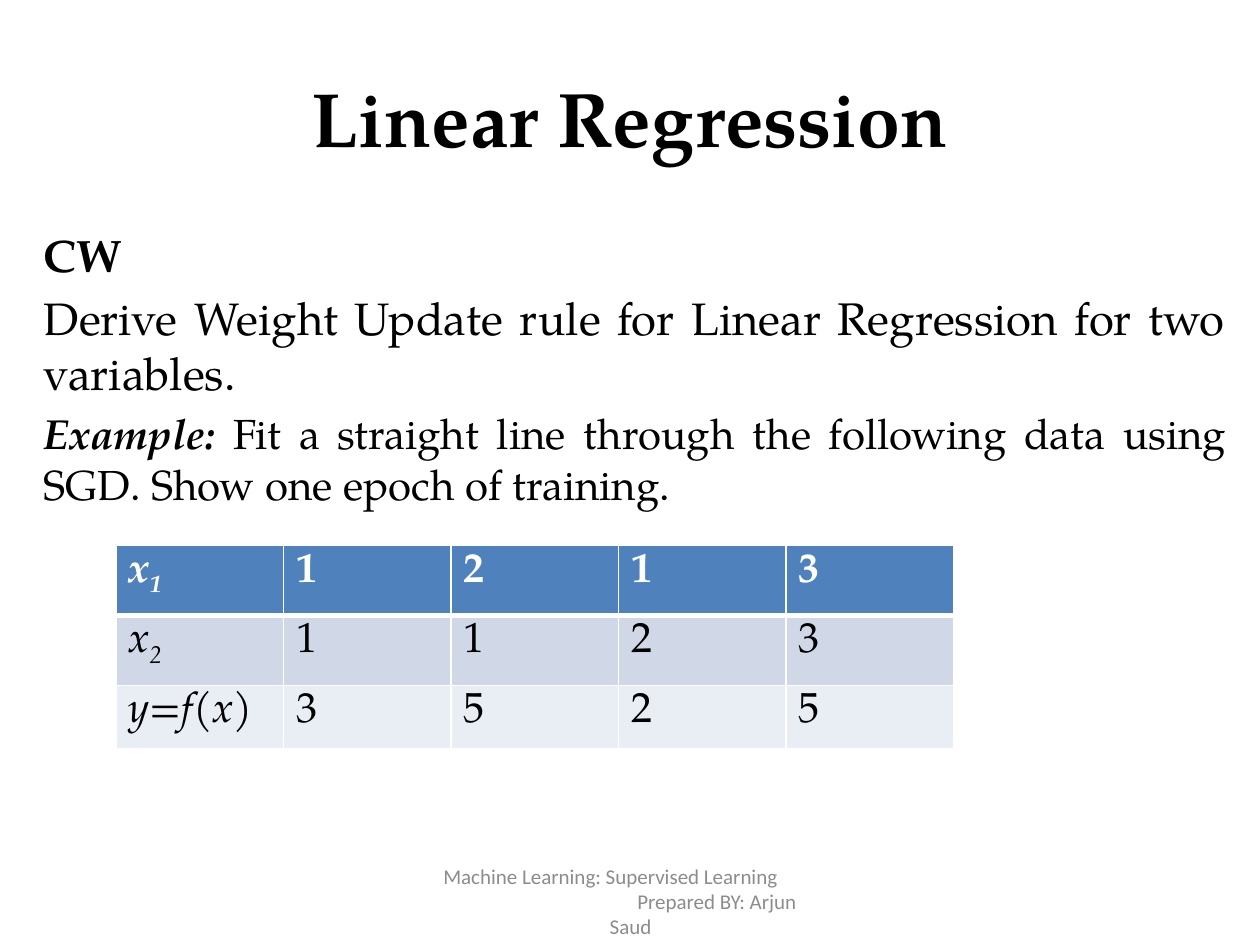
from dataclasses import dataclass

from lxml import etree
from pptx import Presentation
from pptx.dml.color import RGBColor
from pptx.enum.text import MSO_ANCHOR, PP_ALIGN
from pptx.oxml.ns import qn
from pptx.util import Inches, Pt

TOP, MIDDLE = MSO_ANCHOR.TOP, MSO_ANCHOR.MIDDLE
LEFT, CENTER, JUSTIFY = PP_ALIGN.LEFT, PP_ALIGN.CENTER, PP_ALIGN.JUSTIFY


@dataclass(frozen=True)
class Theme:
    serif: str = "TeX Gyre Pagella"
    sans: str = "Calibri"
    black: str = "000000"
    white: str = "FFFFFF"
    gray: str = "8C8C8C"
    row_fills: tuple = ("4F81BD", "D0D8E8", "E9EDF4")
    title: int = 44
    body: int = 26
    example: int = 24
    table: int = 24
    footer: int = 12


THEME = Theme()


def add_run(p, text, size=THEME.table, font=THEME.serif, color=THEME.black,
            bold=False, italic=False, baseline=0):
    """Add a run; baseline is a percentage, negative for a subscript."""
    r = p.add_run()
    r.text = text
    r.font.size = Pt(size)
    r.font.name = font
    r.font.color.rgb = RGBColor.from_string(color)
    r.font.bold = bold
    r.font.italic = italic
    if baseline:
        r.font._element.set("baseline", str(baseline * 1000))


def add_text(s, box, paragraphs, anchor=TOP):
    """Add a box of paragraphs, each (alignment, space before, indent, runs)."""
    tf = s.shapes.add_textbox(*map(Inches, box)).text_frame
    tf.word_wrap = True
    tf.vertical_anchor = anchor
    for i, (align, before, indent, runs) in enumerate(paragraphs):
        p = tf.add_paragraph() if i else tf.paragraphs[0]
        p.alignment = align
        p.space_before = Pt(before)
        if indent:
            p._p.get_or_add_pPr().set("marL", str(Inches(indent)))
        for text, style in runs:
            add_run(p, text, **style)


def set_borders(cell, bottom):
    tc_pr = cell._tc.get_or_add_tcPr()
    widths = {"a:lnL": 1, "a:lnR": 1, "a:lnT": 1, "a:lnB": bottom}
    for i, (tag, width) in enumerate(widths.items()):
        ln = etree.Element(qn(tag), w=str(Pt(width)))
        fill = etree.SubElement(ln, qn("a:solidFill"))
        etree.SubElement(fill, qn("a:srgbClr"), val=THEME.white)
        tc_pr.insert(i, ln)


def add_data_table(s, left, top, col_width, row_height, rows):
    """Add a table whose rows are (label, subscript, values)."""
    n_cols = 1 + len(rows[0][2])
    table = s.shapes.add_table(
        len(rows), n_cols, Inches(left), Inches(top),
        Inches(col_width * n_cols), Inches(row_height * len(rows))).table
    for col in table.columns:
        col.width = Inches(col_width)
    for i, (label, subscript, values) in enumerate(rows):
        header = i == 0
        style = dict(color=THEME.white if header else THEME.black, bold=header)
        for j, text in enumerate((label, *values)):
            cell = table.cell(i, j)
            cell.fill.solid()
            cell.fill.fore_color.rgb = RGBColor.from_string(THEME.row_fills[i])
            set_borders(cell, bottom=3 if header else 1)
            p = cell.text_frame.paragraphs[0]
            add_run(p, text, italic=j == 0, **style)
            if j == 0 and subscript:
                add_run(p, subscript, italic=True, baseline=-25, **style)


def main():
    prs = Presentation()
    prs.slide_width, prs.slide_height = Inches(10), Inches(7.5)
    s = prs.slides.add_slide(prs.slide_layouts[6])

    add_text(s, (0.5, 0.3, 9, 1.25), [
        (CENTER, 0, 0, [("Linear Regression", dict(size=THEME.title, bold=True))]),
    ], anchor=MIDDLE)

    body = dict(size=THEME.body)
    example = dict(size=THEME.example)
    add_text(s, (0.25, 1.75, 9.58, 4.95), [
        (JUSTIFY, 0, 0, [("CW", dict(body, bold=True))]),
        (JUSTIFY, 5.2, 0, [("Derive Weight Update rule for Linear Regression "
                            "for two variables.", body)]),
        (JUSTIFY, 4.8, 0, [
            ("Example: ", dict(example, bold=True, italic=True)),
            ("Fit a straight line through the following data using SGD. "
             "Show one epoch of training.", example)]),
    ])

    footer = dict(size=THEME.footer, font=THEME.sans, color=THEME.gray)
    add_text(s, (3.42, 6.95, 3.17, 0.4), [
        (LEFT, 0, 0, [("Machine Learning: Supervised Learning", footer)]),
        (LEFT, 0, 1.54, [("Prepared BY: Arjun", footer)]),
        (CENTER, 0, 0, [("Saud", footer)]),
    ], anchor=MIDDLE)

    add_data_table(s, 0.92, 4.33, 1.33, 0.41, [
        ("x", "1", "1213"),
        ("x", "2", "1123"),
        ("y=f(x)", "", "3525"),
    ])
    prs.save("out.pptx")


if __name__ == "__main__":
    main()
